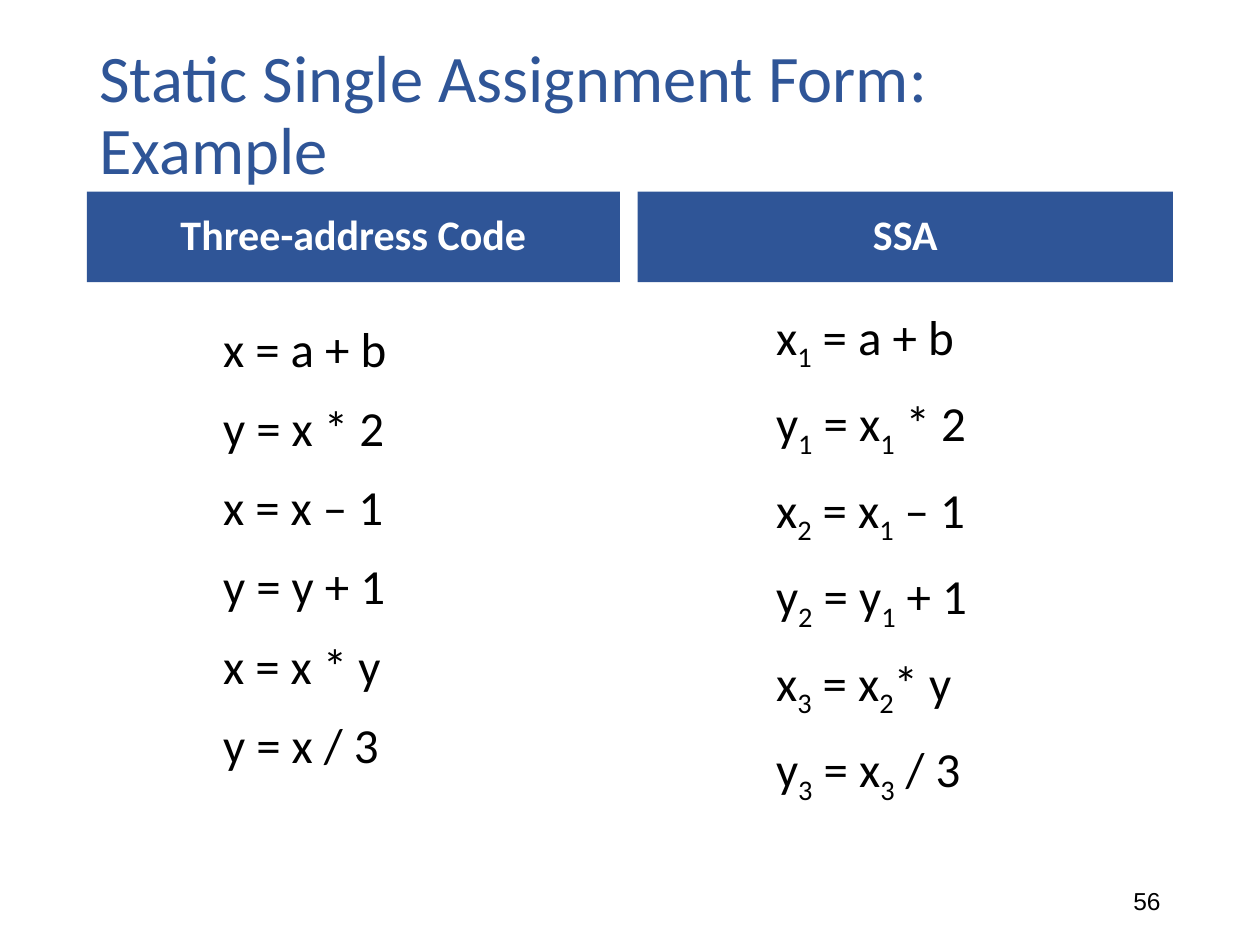
from dataclasses import dataclass

from pptx import Presentation
from pptx.dml.color import RGBColor
from pptx.enum.shapes import MSO_SHAPE
from pptx.enum.text import MSO_ANCHOR, PP_ALIGN
from pptx.util import Inches, Pt

RECT = MSO_SHAPE.RECTANGLE
TOP, MIDDLE = MSO_ANCHOR.TOP, MSO_ANCHOR.MIDDLE
LEFT, CENTER, RIGHT = PP_ALIGN.LEFT, PP_ALIGN.CENTER, PP_ALIGN.RIGHT


@dataclass(frozen=True)
class Theme:
    """Colours, fonts and type sizes of the slide."""
    blue: RGBColor = RGBColor(0x2F, 0x55, 0x97)
    white: RGBColor = RGBColor(0xFF, 0xFF, 0xFF)
    black: RGBColor = RGBColor(0, 0, 0)
    face: str = "Calibri"
    plain: str = "Arial"
    title: int = 38
    head: int = 24
    code: int = 28
    number: int = 14
    tight: float = 0.9


THEME = Theme()

PLAIN = ["x = a + b", "y = x * 2", "x = x – 1",
         "y = y + 1", "x = x * y", "y = x / 3"]
SSA = ["x_1 = a + b", "y_1 = x_1 * 2", "x_2 = x_1 – 1",
       "y_2 = y_1 + 1", "x_3 = x_2* y", "y_3 = x_3 / 3"]


def style(font, size, color, face=THEME.face, bold=False):
    """Set the look of a font."""
    font.name, font.size, font.bold = face, Pt(size), bold
    font.color.rgb = color


def add_box(slide, box):
    """Add a wrapping text box and return its frame."""
    frame = slide.shapes.add_textbox(*map(Inches, box)).text_frame
    frame.word_wrap = True
    return frame


def add_line(slide, box, text, size, color, align=LEFT, face=THEME.face, tight=1.0):
    """Place one text, centred in height."""
    frame = add_box(slide, box)
    frame.vertical_anchor = MIDDLE
    frame.text = text
    para = frame.paragraphs[0]
    para.alignment, para.line_spacing = align, tight
    style(para.runs[0].font, size, color, face)


def add_head(slide, box, text):
    """Place a filled column heading."""
    shape = slide.shapes.add_shape(RECT, *map(Inches, box))
    shape.shadow.inherit = False
    shape.fill.solid()
    shape.fill.fore_color.rgb = THEME.blue
    shape.line.fill.background()
    frame = shape.text_frame
    frame.word_wrap, frame.vertical_anchor = True, MIDDLE
    frame.text = text
    para = frame.paragraphs[0]
    para.alignment, para.line_spacing = CENTER, THEME.tight
    para.space_after = Pt(5)
    style(para.runs[0].font, THEME.head, THEME.white, bold=True)


def add_run(para, text, sub=False):
    """Add a run of code, lowered when it is a subscript."""
    run = para.add_run()
    run.text = text
    style(run.font, THEME.code, THEME.black)
    if sub:
        run.font._element.set("baseline", "-25000")


def add_code(slide, box, lines):
    """Place code lines; the character after an underscore is a subscript."""
    frame = add_box(slide, box)
    frame.vertical_anchor = TOP
    frame.margin_left = Inches(1.1)
    for index, line in enumerate(lines):
        para = frame.add_paragraph() if index else frame.paragraphs[0]
        para.line_spacing = THEME.tight
        para.space_before, para.space_after = Pt(10 if index else 0), Pt(5)
        first, *rest = line.split("_")
        add_run(para, first)
        for part in rest:
            add_run(para, part[0], sub=True)
            add_run(para, part[1:])


def main():
    """Build the slide and save it."""
    deck = Presentation()
    deck.slide_width, deck.slide_height = Inches(10), Inches(7.5)
    slide = deck.slides.add_slide(deck.slide_layouts[6])
    add_line(slide, (0.69, 0.4, 8.62, 1.05), "Static Single Assignment Form: Example",
             THEME.title, THEME.blue, tight=THEME.tight)
    add_head(slide, (0.69, 1.52, 4.23, 0.72), "Three-address Code")
    add_code(slide, (0.67, 2.53, 4.25, 4.42), PLAIN)
    add_head(slide, (5.06, 1.52, 4.25, 0.72), "SSA")
    add_code(slide, (5.06, 2.39, 4.23, 4.42), SSA)
    add_line(slide, (7.06, 6.95, 2.25, 0.4), "56",
             THEME.number, THEME.black, RIGHT, THEME.plain)
    deck.save("out.pptx")


if __name__ == "__main__":
    main()
